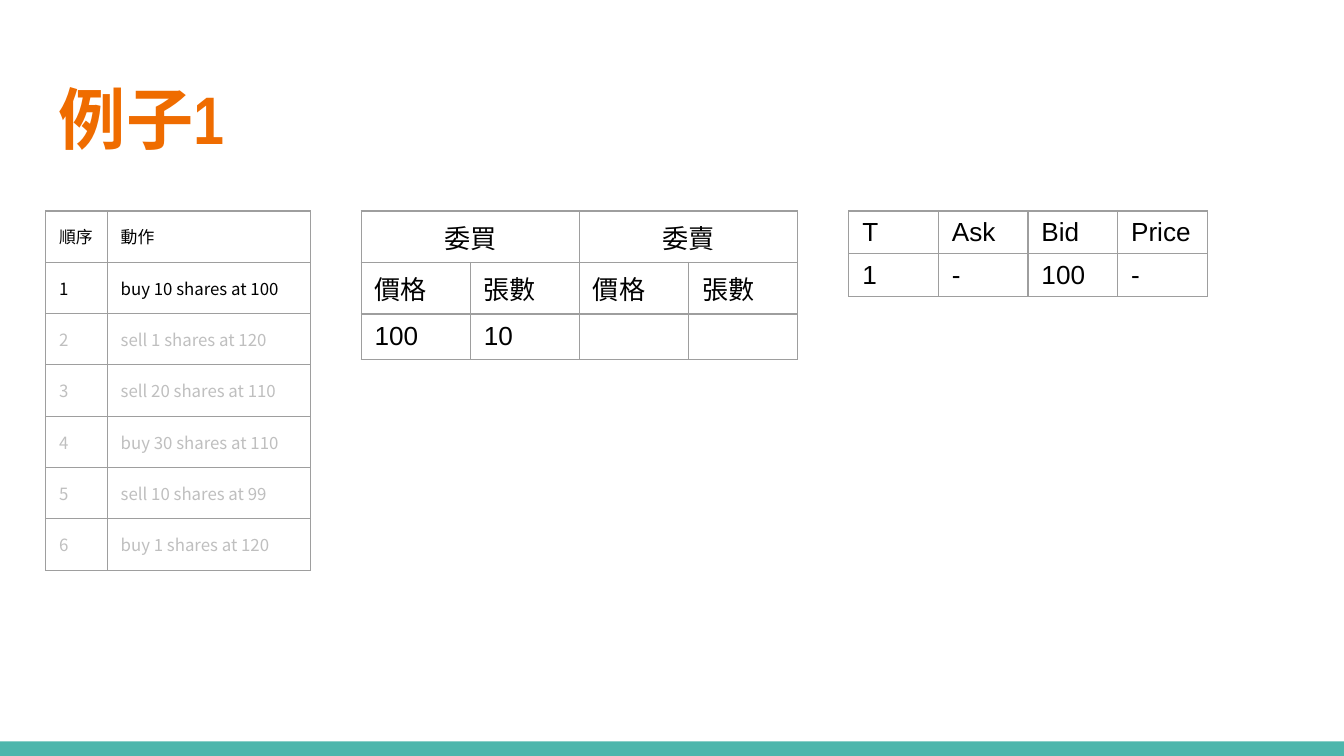
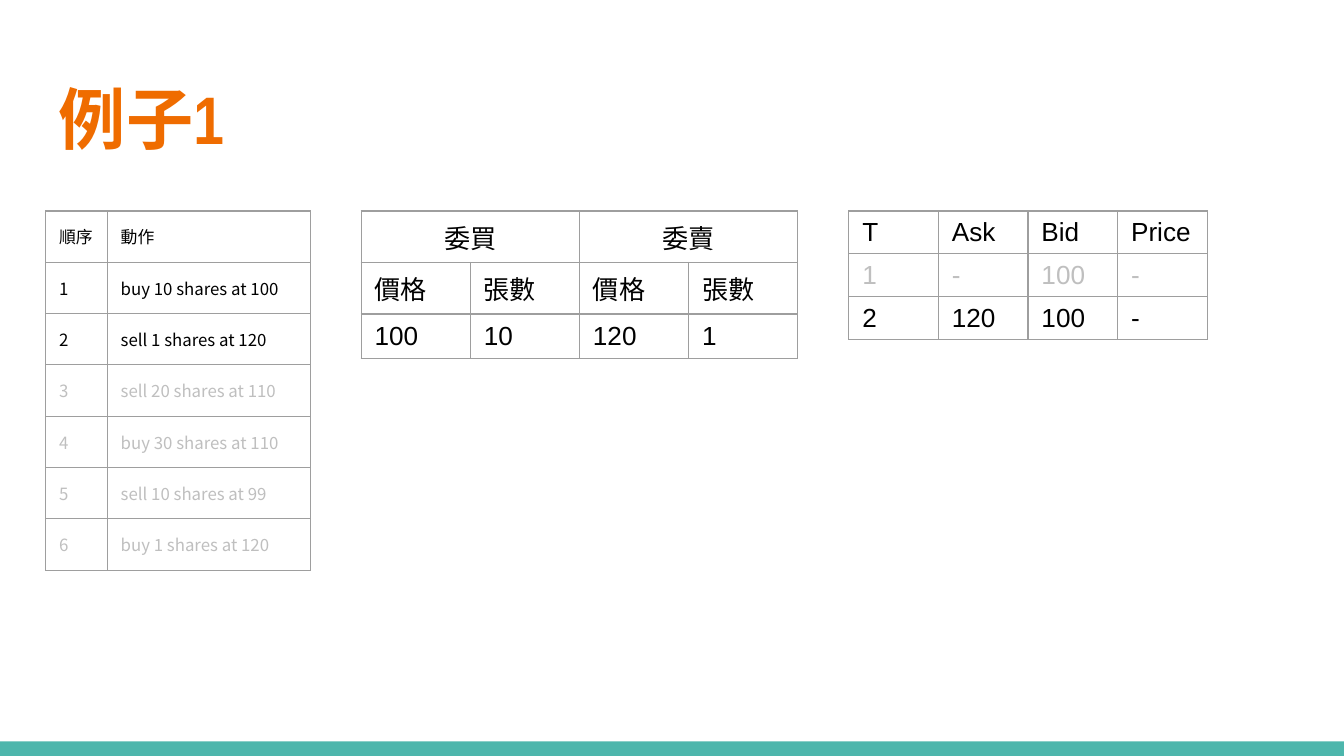
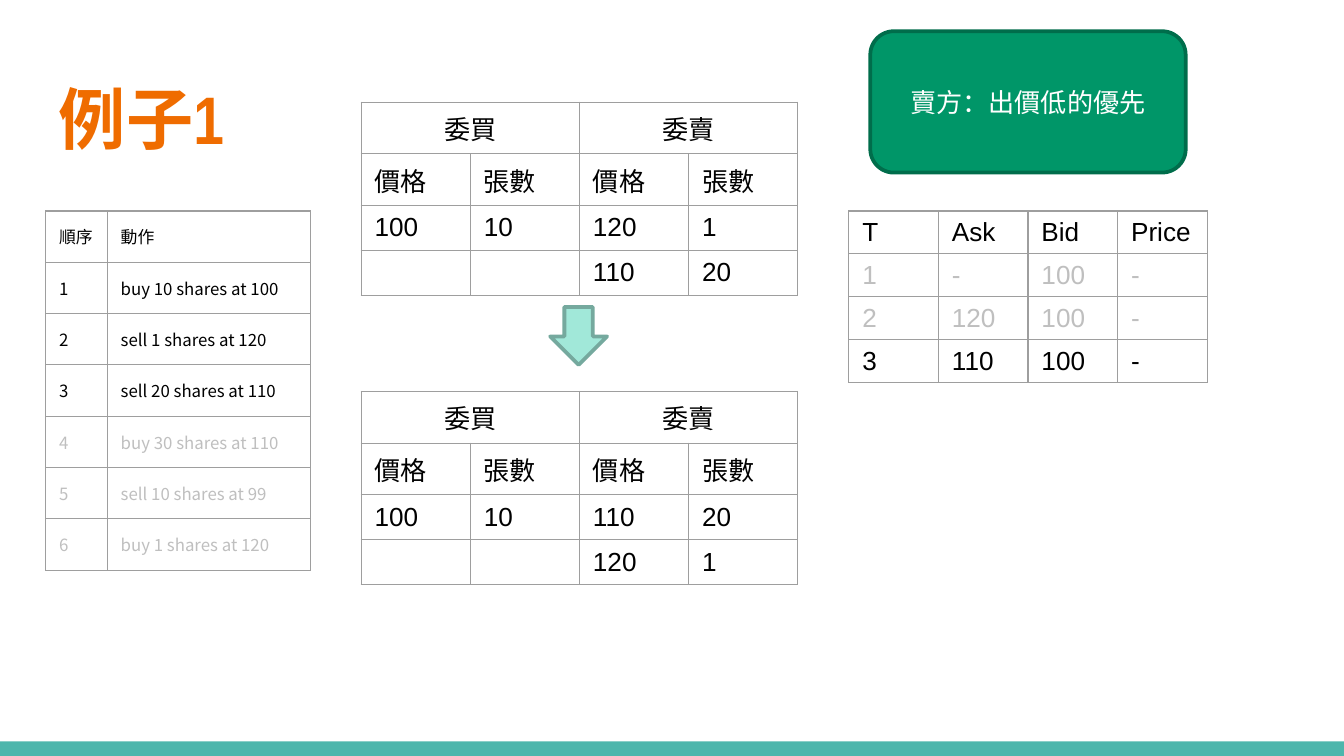
from lxml import etree
from pptx import Presentation
from pptx.dml.color import RGBColor
from pptx.enum import shapes, text
from pptx.oxml.ns import qn
from pptx.util import Pt

TEAL = RGBColor(0x4D, 0xB6, 0xAC)
ORANGE = RGBColor(0xEF, 0x6C, 0x00)
BLACK = RGBColor(0x00, 0x00, 0x00)
WHITE = RGBColor(0xFF, 0xFF, 0xFF)
FADED = RGBColor(0xBF, 0xBF, 0xBF)
BORDER = RGBColor(0x9E, 0x9E, 0x9E)
GREEN = RGBColor(0x00, 0x96, 0x68)
DARK_GREEN = RGBColor(0x00, 0x6D, 0x4B)
MINT = RGBColor(0xA1, 0xE8, 0xD9)
DARK_MINT = RGBColor(0x75, 0xA9, 0x9E)

CJK_FONT = "Noto Sans CJK TC"
LEFT, CENTER = text.PP_ALIGN.LEFT, text.PP_ALIGN.CENTER
TOP, MIDDLE = text.MSO_ANCHOR.TOP, text.MSO_ANCHOR.MIDDLE
TABLE_TOP = 113

ACTIONS = ["buy 10 shares at 100", "sell 1 shares at 120", "sell 20 shares at 110",
           "buy 30 shares at 110", "sell 10 shares at 99", "buy 1 shares at 120"]
QUOTES = [["1", "-", "100", "-"], ["2", "120", "100", "-"], ["3", "110", "100", "-"]]
BOOK_HEAD = [["委買", "", "委賣", ""], ["價格", "張數", "價格", "張數"]]
# For each step: the order books shown, as (top, rows)
BOOKS = [
    [(TABLE_TOP, [["100", "10", "", ""]])],
    [(TABLE_TOP, [["100", "10", "120", "1"]])],
    [(54.75, [["100", "10", "120", "1"], ["", "", "110", "20"]]),
     (209.75, [["100", "10", "110", "20"], ["", "", "120", "1"]])],
]


def write(frame, words, size=14, font="Arial", color=BLACK, bold=False, align=LEFT):
    para = frame.paragraphs[0]
    para.alignment = align
    if not words:
        # An empty paragraph still needs its size, or the row grows
        etree.SubElement(para._p, qn("a:endParaRPr"), sz=str(size * 100))
        return
    span = para.add_run()
    span.text = words
    span.font.size = Pt(size)
    span.font.name = font
    span.font.bold = bold
    span.font.color.rgb = color
    etree.SubElement(span.font._element, qn("a:ea"), typeface=CJK_FONT)


def add_grid(page, left, top, widths, row_height, rows, faded=(), anchor=MIDDLE,
             margin=3.6, merged_head=False, **style):
    """Add a thinly ruled table; the row numbers in faded are written in grey."""
    grid = page.shapes.add_table(len(rows), len(widths), Pt(left), Pt(top),
                                 Pt(sum(widths)), Pt(row_height * len(rows))).table
    grid.first_row = grid.horz_banding = False
    for column, width in zip(grid.columns, widths):
        column.width = Pt(width)
    if merged_head:
        for start in (0, 2):
            grid.cell(0, start).merge(grid.cell(0, start + 1))
    for r, row in enumerate(rows):
        grid.rows[r].height = Pt(row_height)
        for c, words in enumerate(row):
            cell = grid.cell(r, c)
            cell.fill.background()
            cell.vertical_anchor = anchor
            cell.margin_left = cell.margin_right = Pt(7.2)
            cell.margin_top = cell.margin_bottom = Pt(margin)
            write(cell.text_frame, words, color=FADED if r in faded else BLACK,
                  align=CENTER if merged_head and r == 0 else LEFT, **style)
            properties = cell._tc.get_or_add_tcPr()
            for place, side in enumerate(("lnL", "lnR", "lnT", "lnB")):
                line = etree.Element(qn("a:" + side), w=str(Pt(0.75)))
                fill = etree.SubElement(line, qn("a:solidFill"))
                etree.SubElement(fill, qn("a:srgbClr"), val=str(BORDER))
                properties.insert(place, line)


deck = Presentation()
deck.slide_width, deck.slide_height = Pt(720), Pt(405)

for step, books in enumerate(BOOKS, start=1):
    page = deck.slides.add_slide(deck.slide_layouts[6])

    band = page.shapes.add_shape(shapes.MSO_SHAPE.RECTANGLE, 0, Pt(397.2), Pt(720), Pt(7.8))
    band.shadow.inherit = False
    band.fill.solid()
    band.fill.fore_color.rgb = TEAL
    band.line.fill.background()

    title = page.shapes.add_textbox(Pt(24.5), Pt(35.3), Pt(671), Pt(55.4)).text_frame
    title.word_wrap = True
    title.auto_size = text.MSO_AUTO_SIZE.NONE
    title.vertical_anchor = MIDDLE
    title.margin_left = title.margin_right = Pt(7.2)
    title.margin_top = title.margin_bottom = Pt(7.2)
    write(title, "例子1", size=36, font="Arial Narrow", color=ORANGE, bold=True)

    action_rows = [["順序", "動作"]] + [[str(n), a] for n, a in enumerate(ACTIONS, start=1)]
    add_grid(page, 24.5, TABLE_TOP, [33, 109], 26, action_rows, margin=7.2,
             faded=range(step + 1, len(action_rows)), size=9, font=CJK_FONT)

    for top, orders in books:
        add_grid(page, 193.5, top, [58.5] * 4, 24, BOOK_HEAD + orders, merged_head=True)

    add_grid(page, 454.75, TABLE_TOP, [48] * 4, 23, [["T", "Ask", "Bid", "Price"]] + QUOTES[:step],
             faded=range(1, step), anchor=TOP)

# The last step re-sorts the book and states the rule
arrow = page.shapes.add_shape(shapes.MSO_SHAPE.DOWN_ARROW, Pt(294.75), Pt(164.5), Pt(30.5), Pt(31))
rule = page.shapes.add_shape(shapes.MSO_SHAPE.ROUNDED_RECTANGLE,
                             Pt(466.25), Pt(16.75), Pt(169), Pt(75.75))
for box, fill_color, line_color in ((arrow, MINT, DARK_MINT), (rule, GREEN, DARK_GREEN)):
    box.shadow.inherit = False
    box.fill.solid()
    box.fill.fore_color.rgb = fill_color
    box.line.color.rgb = line_color
    box.line.width = Pt(2)
rule.text_frame.vertical_anchor = MIDDLE
write(rule.text_frame, "賣方：出價低的優先", font=CJK_FONT, color=WHITE, align=CENTER)

deck.save("out.pptx")
